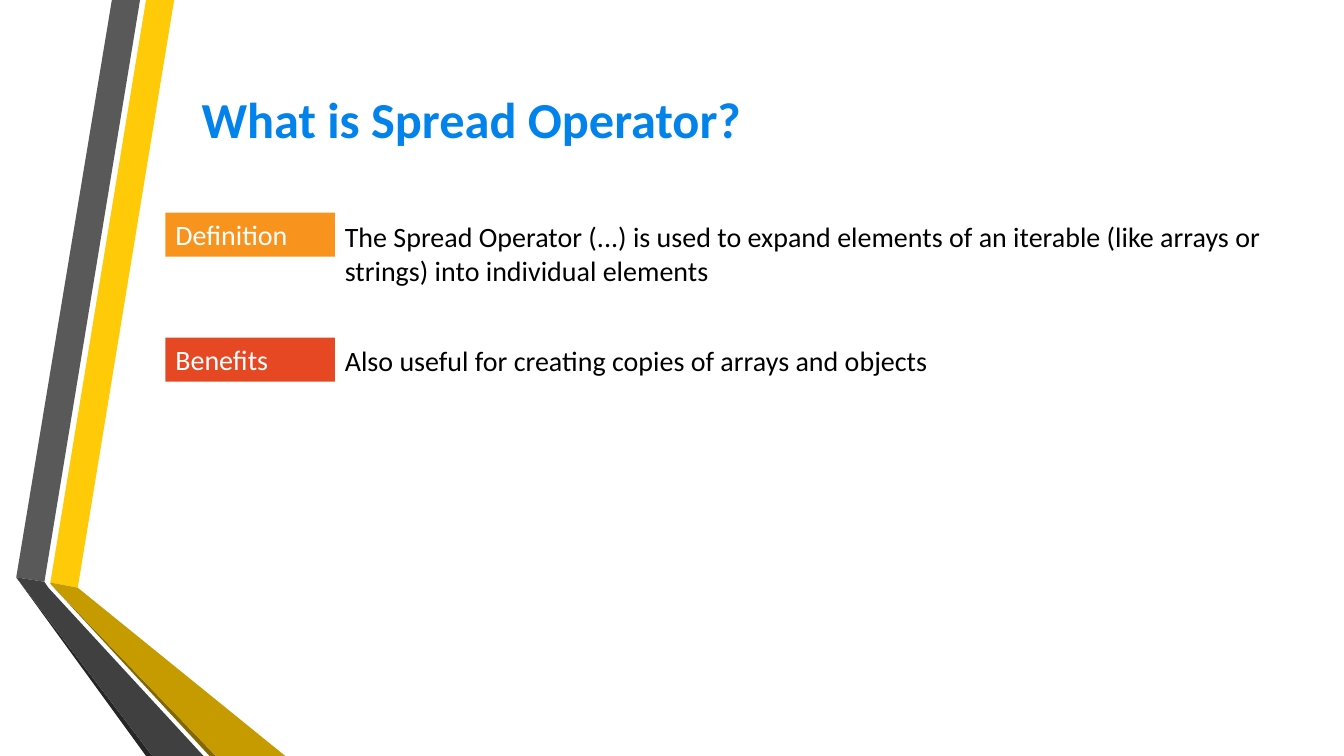
"""Build the slide that explains the Spread Operator."""
from pptx import Presentation
from pptx.dml.color import RGBColor
from pptx.enum.text import MSO_ANCHOR as Anchor, MSO_AUTO_SIZE as AutoSize, PP_ALIGN as Align
from pptx.enum.shapes import MSO_SHAPE as Preset
from pptx.util import Cm, Pt

THEME = {
    "font": "Calibri",
    "title_size": 36, "body_size": 20,
    "title": "0282EB", "body": "000000", "on_label": "FFFFFF",
    "definition": "F8931D", "benefits": "E64823",
    "yellow": "FFCA08", "gold": "C59B00", "gold_edge": "846700",
    "grey": "595959", "charcoal": "404040", "charcoal_edge": "262626",
}


def paint(shape, color):
    shape.shadow.inherit = False
    shape.fill.solid()
    shape.fill.fore_color.rgb = RGBColor.from_string(THEME[color])
    shape.line.fill.background()


def write(shape, text, size, color, align, bold=False, **frame_format):
    frame = shape.text_frame
    frame.text = text
    for name, value in {"word_wrap": True, **frame_format}.items():
        setattr(frame, name, value)
    paragraph = frame.paragraphs[0]
    paragraph.alignment = align
    font_format = {"name": THEME["font"], "size": Pt(THEME[size]), "bold": bold}
    for name, value in font_format.items():
        setattr(paragraph.runs[0].font, name, value)
    paragraph.runs[0].font.color.rgb = RGBColor.from_string(THEME[color])


deck = Presentation()
deck.slide_width, deck.slide_height = Cm(33.87), Cm(19.05)
slide = deck.slides.add_slide(deck.slide_layouts[5])
shapes = slide.shapes

ribbons = [
    ("yellow", [(1.27, 14.68), (1.96, 14.81), (4.39, 0), (3.68, 0)]),
    ("grey", [(3.53, 0), (2.82, 0), (0.41, 14.55), (1.12, 14.66)]),
    ("charcoal_edge", [(0.41, 14.55), (3.68, 19.05), (3.84, 19.05)]),
    ("gold_edge", [(1.27, 14.71), (5.28, 19.05), (5.44, 19.05)]),
    ("gold", [(1.27, 14.68), (1.27, 14.71), (5.44, 19.05), (7.19, 19.05), (1.96, 14.81)]),
    ("charcoal", [(5.13, 19.05), (1.22, 14.81), (1.12, 14.66), (0.41, 14.55), (3.84, 19.05)]),
]
for color, corners in ribbons:
    start, *others = [(Cm(x), Cm(y)) for x, y in corners]
    outline = shapes.build_freeform(*start)
    outline.add_line_segments(others, close=True)
    paint(outline.convert_to_shape(), color)

title = shapes.title
title_box = {"left": Cm(4.45), "top": Cm(2.21), "width": Cm(14.86), "height": Cm(1.52)}
for name, value in title_box.items():
    setattr(title, name, value)
write(title, "What is Spread Operator?", "title_size", "title", Align.CENTER, bold=True,
      vertical_anchor=Anchor.MIDDLE, auto_size=AutoSize.NONE)

label_left, label_width, line_height = Cm(4.17), Cm(4.27), Cm(1.11)
rows = [
    ("Definition", "definition", 5.36, 5.41, 1.96,
     "The Spread Operator (...) is used to expand elements of an iterable "
     "(like arrays or strings) into individual elements"),
    ("Benefits", "benefits", 8.51, 8.53, 1.11,
     "Also useful for creating copies of arrays and objects"),
]
for heading, color, label_top, text_top, text_height, explanation in rows:
    label = shapes.add_shape(Preset.RECTANGLE, label_left, Cm(label_top), label_width, line_height)
    paint(label, color)
    body = shapes.add_textbox(label_left + label_width, Cm(text_top), Cm(23.67), Cm(text_height))
    for box, text, ink in ((label, heading, "on_label"), (body, explanation, "body")):
        write(box, text, "body_size", ink, Align.LEFT,
              vertical_anchor=Anchor.TOP, auto_size=AutoSize.SHAPE_TO_FIT_TEXT)

deck.save("out.pptx")
